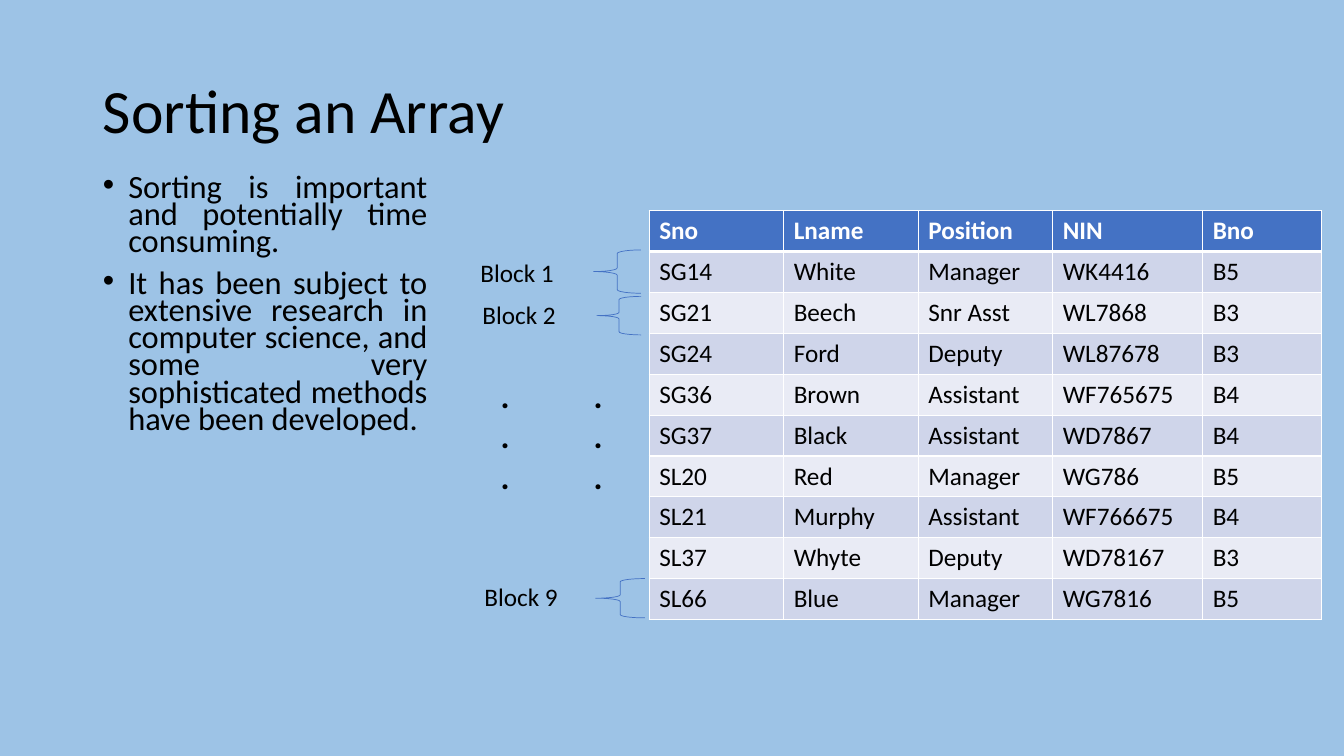
from lxml import etree
from pptx import Presentation
from pptx.dml.color import RGBColor
from pptx.enum.shapes import MSO_SHAPE
from pptx.enum.text import MSO_ANCHOR, MSO_AUTO_SIZE, PP_ALIGN
from pptx.oxml.ns import qn
from pptx.util import Cm, Pt

LEFT_BRACE = MSO_SHAPE.LEFT_BRACE
MIDDLE, TOP = MSO_ANCHOR.MIDDLE, MSO_ANCHOR.TOP
LEFT, JUSTIFY = PP_ALIGN.LEFT, PP_ALIGN.JUSTIFY
NO_FIT, GROW = MSO_AUTO_SIZE.NONE, MSO_AUTO_SIZE.SHAPE_TO_FIT_TEXT

SKY, BLUE, WHITE, BLACK = "9DC3E6", "4472C4", "FFFFFF", "000000"
BANDS = ("CFD5EA", "E9EBF5")

POINTS = [
    "Sorting is important and potentially time consuming.",
    "It has been subject to extensive research in computer science, "
    "and some very sophisticated methods have been developed.",
]
STAFF = [
    ("Sno", "Lname", "Position", "NIN", "Bno"),
    ("SG14", "White", "Manager", "WK4416", "B5"),
    ("SG21", "Beech", "Snr Asst", "WL7868", "B3"),
    ("SG24", "Ford", "Deputy", "WL87678", "B3"),
    ("SG36", "Brown", "Assistant", "WF765675", "B4"),
    ("SG37", "Black", "Assistant", "WD7867", "B4"),
    ("SL20", "Red", "Manager", "WG786", "B5"),
    ("SL21", "Murphy", "Assistant", "WF766675", "B4"),
    ("SL37", "Whyte", "Deputy", "WD78167", "B3"),
    ("SL66", "Blue", "Manager", "WG7816", "B5"),
]
COLUMN_WIDTHS = (3.39, 3.39, 3.39, 3.78, 2.99)
ROW_HEIGHT = 1.03
# Label text, label position, brace bounds
BLOCKS = [
    ("Block 1", (11.86, 6.35), (14.96, 6.3, 1.19, 1.09)),
    ("Block 2", (11.91, 7.42), (15.04, 7.47, 1.12, 0.97)),
    ("Block 9", (11.96, 14.53), (15.01, 14.58, 1.24, 0.99)),
]
DOT_LEFTS = (12.37, 14.71)


def color(hex_value):
    return RGBColor.from_string(hex_value)


def set_values(target, values):
    for name, value in values.items():
        setattr(target, name, value)


def place(shape, left, top, width, height):
    set_values(shape, {"left": Cm(left), "top": Cm(top),
                       "width": Cm(width), "height": Cm(height)})


def write(frame, lines, size, hex_value=BLACK, bold=False, **para_format):
    for index, line in enumerate(lines):
        para = frame.add_paragraph() if index else frame.paragraphs[0]
        set_values(para, {"alignment": LEFT, **para_format})
        span = para.add_run()
        span.text = line
        set_values(span.font, {"name": "Calibri", "size": Pt(size), "bold": bold})
        span.font.color.rgb = color(hex_value)


def fill_placeholder(holder, bounds, lines, size, anchor, **para_format):
    place(holder, *bounds)
    frame = holder.text_frame
    set_values(frame, {"auto_size": NO_FIT, "vertical_anchor": anchor,
                       "word_wrap": True})
    write(frame, lines, size, **para_format)


def add_bullets(slide):
    body = slide.placeholders[1]
    fill_placeholder(body, (2.34, 4.32, 8.69, 8.33), POINTS, 23.2, TOP,
                     alignment=JUSTIFY, line_spacing=0.7, space_before=Pt(10))
    for para in body.text_frame.paragraphs:
        properties = para._p.get_or_add_pPr()
        properties.set("marL", str(Cm(0.64)))
        properties.set("indent", str(-Cm(0.64)))
        etree.SubElement(properties, qn("a:buChar")).set("char", "•")


def add_borders(cell, bottom_width):
    properties = cell._tc.get_or_add_tcPr()
    for side, width in {"L": 1, "R": 1, "T": 1, "B": bottom_width}.items():
        line = etree.SubElement(properties, qn(f"a:ln{side}"), w=str(Pt(width)))
        fill = etree.SubElement(line, qn("a:solidFill"))
        etree.SubElement(fill, qn("a:srgbClr"), val=WHITE)


def add_staff_table(slide):
    table = slide.shapes.add_table(
        len(STAFF), len(COLUMN_WIDTHS), Cm(16.36), Cm(5.31),
        Cm(sum(COLUMN_WIDTHS)), Cm(ROW_HEIGHT * len(STAFF))).table
    for column, width in zip(table.columns, COLUMN_WIDTHS):
        column.width = Cm(width)
    for row_index, values in enumerate(STAFF):
        table.rows[row_index].height = Cm(ROW_HEIGHT)
        header = row_index == 0
        for column_index, value in enumerate(values):
            cell = table.cell(row_index, column_index)
            add_borders(cell, 3 if header else 1)
            cell.fill.solid()
            cell.fill.fore_color.rgb = color(
                BLUE if header else BANDS[(row_index - 1) % 2])
            write(cell.text_frame, [value], 18, WHITE if header else BLACK, header)


def add_text(slide, bounds, lines, size, bold=False):
    box = slide.shapes.add_textbox(*map(Cm, bounds))
    set_values(box.text_frame, {"word_wrap": True, "auto_size": GROW})
    write(box.text_frame, lines, size, bold=bold)


def add_brace(slide, bounds):
    brace = slide.shapes.add_shape(LEFT_BRACE, *map(Cm, bounds))
    brace.shadow.inherit = False
    brace.fill.background()
    brace.line.color.rgb = color(BLUE)
    brace.line.width = Pt(0.5)


def main():
    deck = Presentation()
    set_values(deck, {"slide_width": Cm(33.87), "slide_height": Cm(19.05)})
    slide = deck.slides.add_slide(deck.slide_layouts[1])
    slide.background.fill.solid()
    slide.background.fill.fore_color.rgb = color(SKY)

    fill_placeholder(slide.shapes.title, (2.34, 1.02, 29.21, 3.68),
                     ["Sorting an Array"], 44, MIDDLE, line_spacing=0.9)
    add_bullets(slide)
    add_staff_table(slide)
    for label, position, brace_bounds in BLOCKS:
        add_brace(slide, brace_bounds)
        add_text(slide, (*position, 3.1, 1.03), [label], 18)
    for left in DOT_LEFTS:
        add_text(slide, (left, 9.32, 1.4, 3.33), ["."] * 3, 24, bold=True)
    deck.save("out.pptx")


if __name__ == "__main__":
    main()
